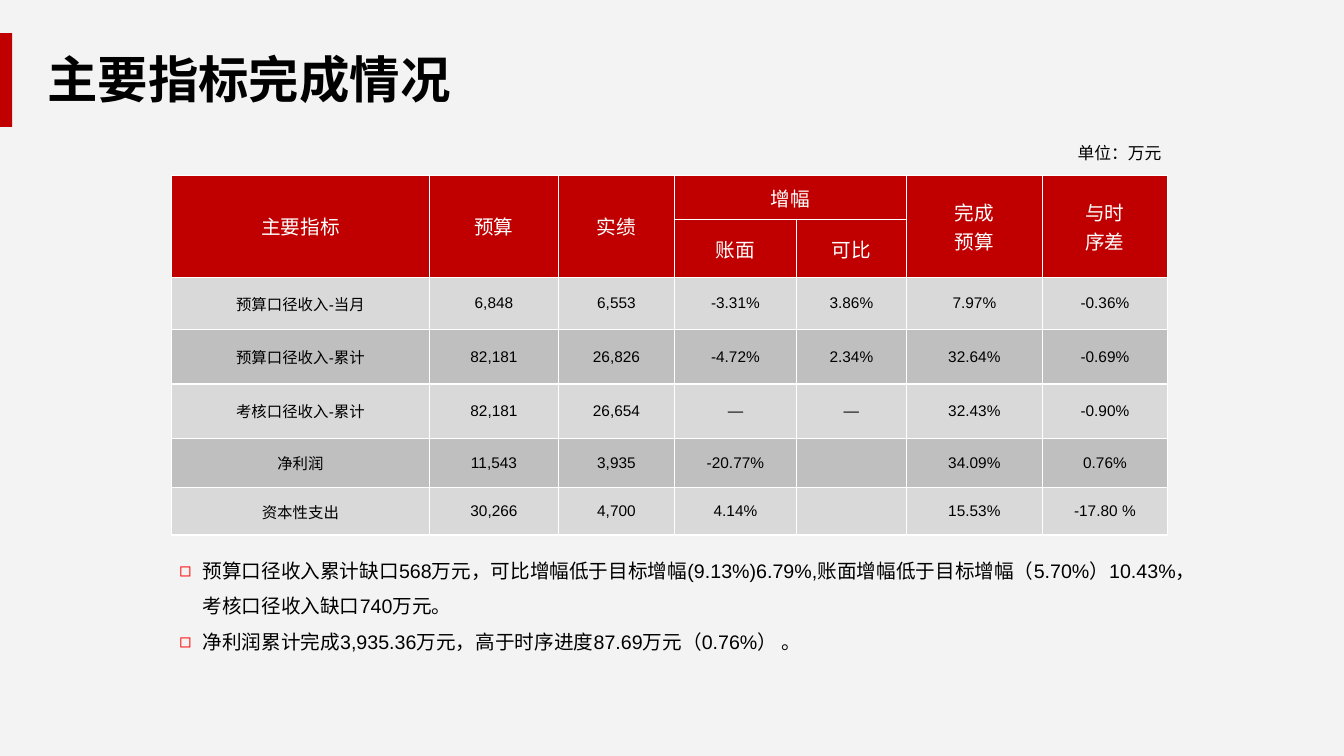
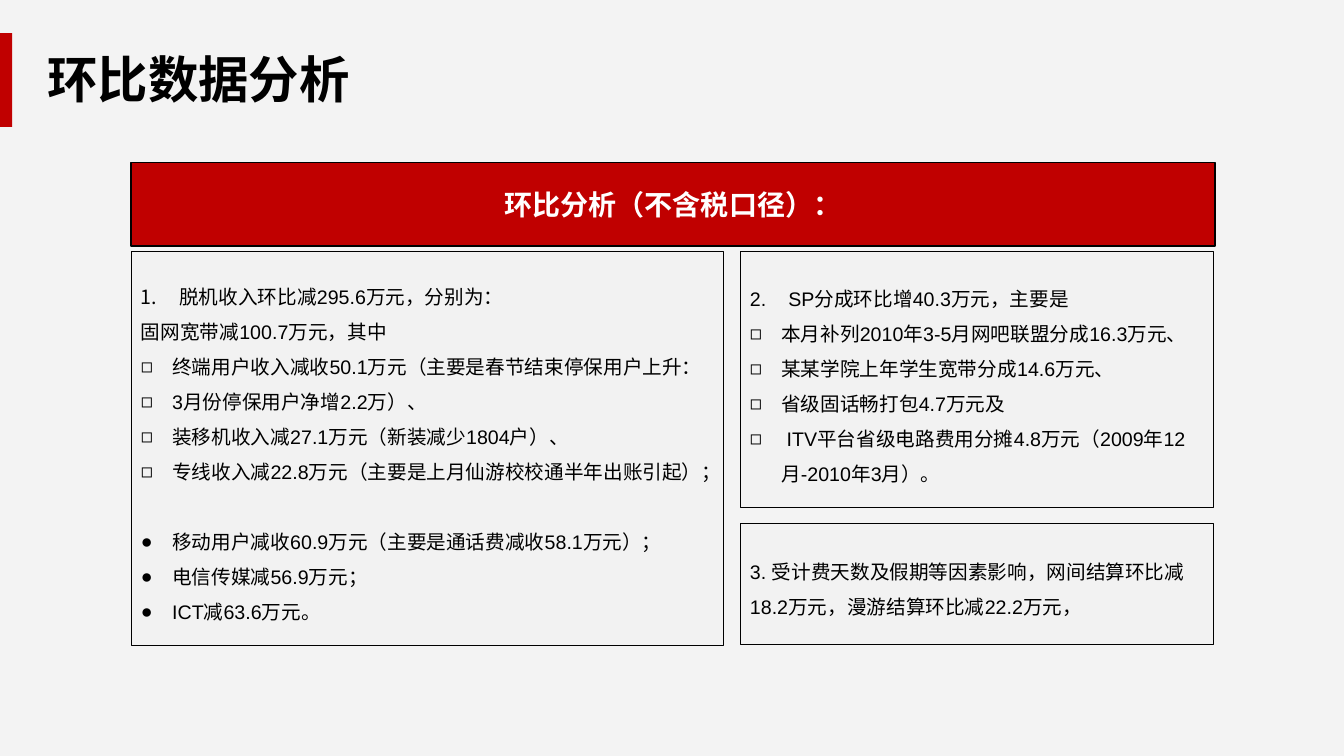
from dataclasses import dataclass
from typing import Any

from lxml import etree
from pptx import Presentation
from pptx import util as u
from pptx.dml.color import RGBColor
from pptx.enum import shapes, text
from pptx.oxml import ns

EMU_PER_PX = 9144  # 100 px to the inch


@dataclass(frozen=True)
class Theme:
    font: str = "Arial"
    page: str = "F3F3F3"
    red: str = "C00000"
    bullet_red: str = "FF0000"
    black: str = "000000"
    white: str = "FFFFFF"
    panel: str = "F2F2F2"
    rows: tuple[str, str] = ("D9D9D9", "BFBFBF")
    title_pt: int = 36
    banner_pt: int = 20
    body_pt: int = 14
    unit_pt: int = 12
    cell_pt: int = 11


THEME = Theme()


@dataclass(frozen=True)
class Box:
    left: int
    top: int
    width: int
    height: int

    def emu(self) -> tuple[int, ...]:
        return tuple(px(side) for side in (self.left, self.top, self.width, self.height))


@dataclass(frozen=True)
class Style:
    size: int = THEME.body_pt
    color: str = THEME.black
    bold: bool = False
    align: Any = text.PP_ALIGN.LEFT
    spacing: Any = None


@dataclass(frozen=True)
class Line:
    """One paragraph; number starts an automatic list, hang is its indent in px."""
    words: str
    bullet: str = ""
    number: int = 0
    hang: int = 0
    bullet_color: str = ""
    before: int = 0


@dataclass(frozen=True)
class Panel:
    box: Box
    lines: list[Line]
    style: Style
    fill: str = THEME.panel
    border_pt: float = 0.75
    margins: tuple[int, int] = (10, 5)


CENTERED = text.PP_ALIGN.CENTER
TITLE = Style(THEME.title_pt, bold=True)
UNIT = Style(THEME.unit_pt, align=text.PP_ALIGN.RIGHT)
HEADER = Style(color=THEME.white, align=CENTERED)
CELL = Style(THEME.cell_pt, align=CENTERED)
BANNER = Style(THEME.banner_pt, THEME.white, True, CENTERED)
NOTES = Style(spacing=1.5)
ANALYSIS = Style(spacing=u.Pt(25))


def px(length: int) -> int:
    return length * EMU_PER_PX


def apply(target: Any, formats: dict[str, Any]) -> None:
    for name, value in formats.items():
        setattr(target, name, value)


def margins(across: int, down: int) -> dict[str, int]:
    return {"margin_left": px(across), "margin_right": px(across),
            "margin_top": px(down), "margin_bottom": px(down)}


def paint(fill: Any, color: str) -> None:
    fill.solid()
    fill.fore_color.rgb = RGBColor.from_string(color)


def add_marker(paragraph: Any, line: Line) -> None:
    """Give the paragraph its bullet or number and its hanging indent."""
    properties = paragraph._p.get_or_add_pPr()
    properties.set("marL", str(px(line.hang)))
    properties.set("indent", str(-px(line.hang)))
    if line.bullet_color:
        color = etree.SubElement(properties, ns.qn("a:buClr"))
        etree.SubElement(color, ns.qn("a:srgbClr"), val=line.bullet_color)
    if line.number:
        etree.SubElement(properties, ns.qn("a:buAutoNum"), type="arabicPeriod",
                         startAt=str(line.number))
    else:
        etree.SubElement(properties, ns.qn("a:buFont"), typeface=THEME.font)
        etree.SubElement(properties, ns.qn("a:buChar"), char=line.bullet)


def write(frame: Any, lines: list[Line], style: Style) -> None:
    for index, line in enumerate(lines):
        paragraph = frame.add_paragraph() if index else frame.paragraphs[0]
        if line.hang:
            add_marker(paragraph, line)
        formats = {"alignment": style.align, "line_spacing": style.spacing}
        if line.before:
            formats["space_before"] = u.Pt(line.before)
        apply(paragraph, formats)
        run = paragraph.add_run()
        apply(run, {"text": line.words})
        apply(run.font, {"name": THEME.font, "size": u.Pt(style.size), "bold": style.bold})
        run.font.color.rgb = RGBColor.from_string(style.color)


def add_text(slide: Any, box: Box, lines: list[Line], style: Style, wrap: bool = False) -> None:
    frame = slide.shapes.add_textbox(*box.emu()).text_frame
    apply(frame, {"word_wrap": wrap, "auto_size": text.MSO_AUTO_SIZE.SHAPE_TO_FIT_TEXT})
    write(frame, lines, style)


def add_block(slide: Any, box: Box, fill: str) -> Any:
    block = slide.shapes.add_shape(shapes.MSO_SHAPE.RECTANGLE, *box.emu())
    block.shadow.inherit = False
    paint(block.fill, fill)
    block.line.fill.background()
    return block


def add_panel(slide: Any, panel: Panel) -> None:
    block = add_block(slide, panel.box, panel.fill)
    paint(block.line.fill, THEME.black)
    block.line.width = u.Pt(panel.border_pt)
    apply(block.text_frame, {"word_wrap": True, "vertical_anchor": text.MSO_ANCHOR.MIDDLE,
                             **margins(*panel.margins)})
    write(block.text_frame, panel.lines, panel.style)


def add_titled_slide(deck: Any, title: str, title_width: int) -> Any:
    slide = deck.slides.add_slide(deck.slide_layouts[6])
    add_block(slide, Box(0, 33, 12, 93), THEME.red)
    add_text(slide, Box(37, 43, title_width, 71), [Line(title)], TITLE)
    return slide


def add_borders(cell: Any) -> None:
    properties = cell._tc.get_or_add_tcPr()
    for index, side in enumerate(("lnL", "lnR", "lnT", "lnB")):
        border = etree.Element(ns.qn(f"a:{side}"), w=str(u.Pt(1)))
        fill = etree.SubElement(border, ns.qn("a:solidFill"))
        etree.SubElement(fill, ns.qn("a:srgbClr"), val=THEME.white)
        properties.insert(index, border)


COLUMN_WIDTHS = [256, 128, 115, 121, 109, 135, 124]
ROW_HEIGHTS = [44, 57, 52, 54, 54, 49, 47]
HEADER_ROWS = 2
MERGES = [((0, column), (1, column)) for column in (0, 1, 2, 5, 6)] + [((0, 3), (0, 4))]
INDICATORS = [
    ["主要指标", "预算", "实绩", "增幅", "", "完成\n预算", "与时\n序差"],
    ["", "", "", "账面", "可比", "", ""],
    ["预算口径收入-当月", "6,848", "6,553", "-3.31%", "3.86%", "7.97%", "-0.36%"],
    ["预算口径收入-累计", "82,181", "26,826", "-4.72%", "2.34%", "32.64%", "-0.69%"],
    ["考核口径收入-累计", "82,181", "26,654", "—", "—", "32.43%", "-0.90%"],
    ["净利润", "11,543", "3,935", "-20.77%", "", "34.09%", "0.76%"],
    ["资本性支出", "30,266", "4,700", "4.14%", "", "15.53%", "-17.80 %"],
]


def add_indicator_table(slide: Any) -> None:
    box = Box(170, 174, sum(COLUMN_WIDTHS), sum(ROW_HEIGHTS))
    table = slide.shapes.add_table(len(ROW_HEIGHTS), len(COLUMN_WIDTHS), *box.emu()).table
    apply(table, {"first_row": False, "horz_banding": False})
    for column, width in zip(table.columns, COLUMN_WIDTHS):
        column.width = px(width)
    for row, height in zip(table.rows, ROW_HEIGHTS):
        row.height = px(height)
    for row, values in enumerate(INDICATORS):
        is_header = row < HEADER_ROWS
        for column, value in enumerate(values):
            cell = table.cell(row, column)
            apply(cell, {"vertical_anchor": text.MSO_ANCHOR.MIDDLE, **margins(0, 0)})
            paint(cell.fill, THEME.red if is_header else THEME.rows[row % 2])
            add_borders(cell)
            if value:
                write(cell.text_frame, [Line(part) for part in value.split("\n")],
                      HEADER if is_header else CELL)
    for first, last in MERGES:
        table.cell(*first).merge(table.cell(*last))


def square(words: str, hang: int = 31, color: str = "") -> Line:
    return Line(words, "◻", hang=hang, bullet_color=color)


def dot(words: str, before: int = 0) -> Line:
    return Line(words, "●", hang=31, before=before)


def build_indicators(deck: Any) -> None:
    slide = add_titled_slide(deck, "主要指标完成情况", 424)
    add_indicator_table(slide)
    add_text(slide, Box(168, 538, 1032, 116), [
        square(words, 23, THEME.bullet_red) for words in (
            "预算口径收入累计缺口568万元，可比增幅低于目标增幅(9.13%)6.79%,"
            "账面增幅低于目标增幅（5.70%）10.43%，考核口径收入缺口740万元。",
            "净利润累计完成3,935.36万元，高于时序进度87.69万元（0.76%） 。")
    ], NOTES, wrap=True)
    add_text(slide, Box(1058, 137, 104, 30), [Line("单位：万元")], UNIT)


def build_comparison(deck: Any) -> None:
    slide = add_titled_slide(deck, "环比数据分析", 323)
    panels = [
        Panel(Box(130, 161, 1075, 83), [Line("环比分析（不含税口径）：")], BANNER,
              THEME.red, 1, (7, 4)),
        Panel(Box(734, 250, 470, 254), [
            Line("SP分成环比增40.3万元，主要是", number=2, hang=38),
            square("本月补列2010年3-5月网吧联盟分成16.3万元、"),
            square("某某学院上年学生宽带分成14.6万元、"),
            square("省级固话畅打包4.7万元及"),
            square(" ITV平台省级电路费用分摊4.8万元（2009年12月-2010年3月）。"),
        ], ANALYSIS),
        Panel(Box(130, 250, 588, 390), [
            Line("脱机收入环比减295.6万元，分别为：", number=1, hang=38),
            Line("固网宽带减100.7万元，其中"),
            square("终端用户收入减收50.1万元（主要是春节结束停保用户上升："),
            square("3月份停保用户净增2.2万）、"),
            square("装移机收入减27.1万元（新装减少1804户）、"),
            square("专线收入减22.8万元（主要是上月仙游校校通半年出账引起）；"),
            dot("移动用户减收60.9万元（主要是通话费减收58.1万元）；", before=25),
            dot("电信传媒减56.9万元；"),
            dot("ICT减63.6万元。"),
        ], ANALYSIS),
        Panel(Box(734, 519, 470, 120), [
            Line("3. 受计费天数及假期等因素影响，网间结算环比减18.2万元，漫游结算环比减22.2万元，"),
        ], ANALYSIS),
    ]
    for panel in panels:
        add_panel(slide, panel)


def main() -> None:
    deck = Presentation()
    apply(deck, {"slide_width": px(1333), "slide_height": px(750)})
    paint(deck.slide_master.background.fill, THEME.page)
    build_indicators(deck)
    build_comparison(deck)
    deck.save("out.pptx")


if __name__ == "__main__":
    main()
